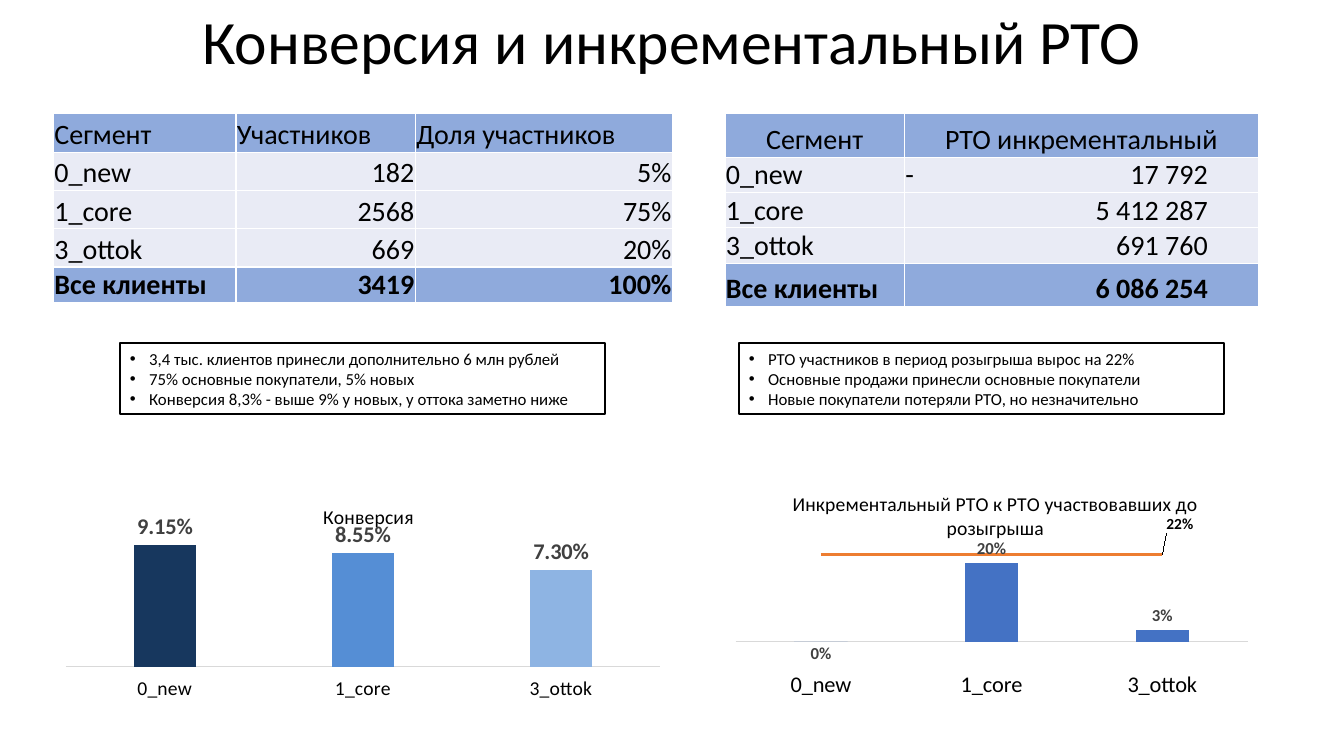
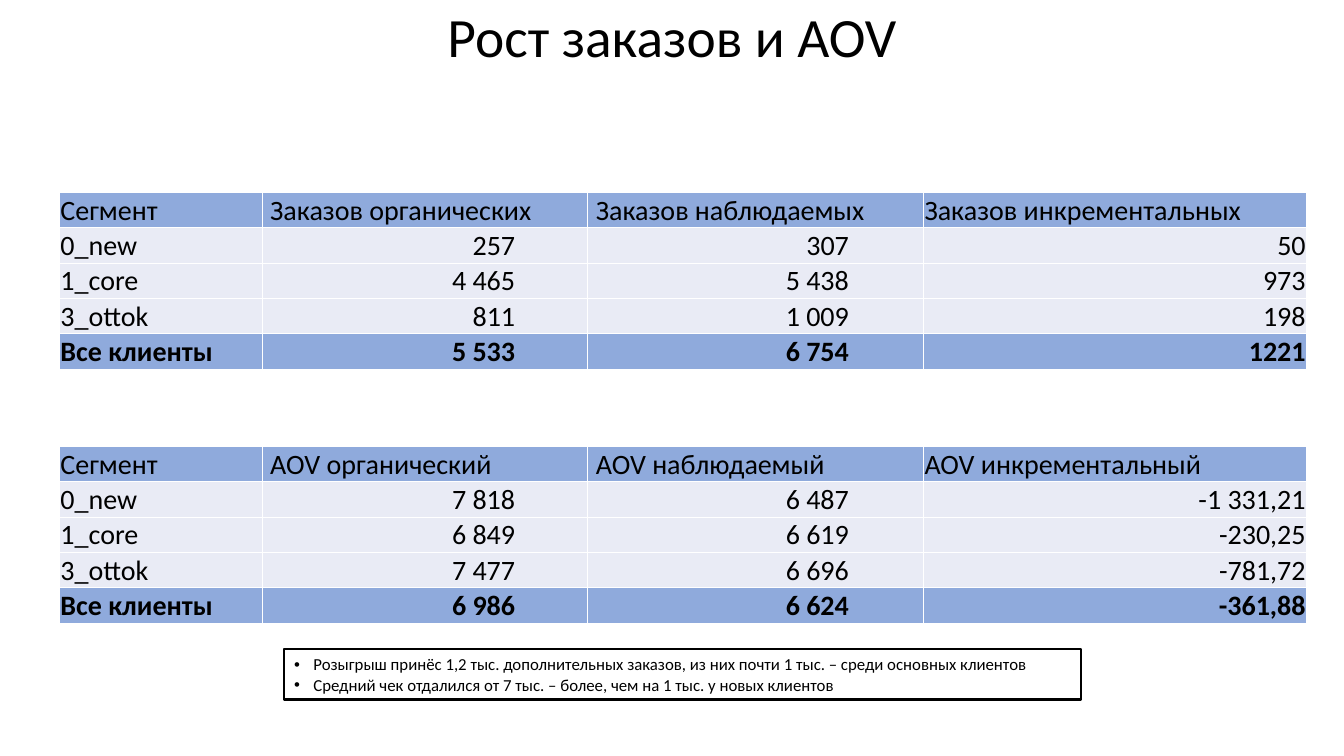
from dataclasses import dataclass

import pptx
import pptx.chart.data
import pptx.dml.color
import pptx.enum.chart
import pptx.enum.shapes
import pptx.enum.text
import pptx.oxml
import pptx.oxml.ns
import pptx.util
from pptx.util import Inches

RGBColor = pptx.dml.color.RGBColor
BLACK = RGBColor(0x00, 0x00, 0x00)
BAND = RGBColor(0x8F, 0xAA, 0xDC)
BODY = RGBColor(0xE9, 0xEB, 0xF5)
LABEL_GREY = RGBColor(0x40, 0x40, 0x40)
AXIS_GREY = RGBColor(0xD9, 0xD9, 0xD9)
NAVY = RGBColor(0x17, 0x37, 0x5E)
MID_BLUE = RGBColor(0x55, 0x8E, 0xD5)
LIGHT_BLUE = RGBColor(0x8E, 0xB4, 0xE3)
BAR_BLUE = RGBColor(0x44, 0x72, 0xC4)
ORANGE = RGBColor(0xED, 0x7D, 0x31)

FONT = "Calibri"
ALIGN = pptx.enum.text.PP_ALIGN
SEGMENTS = ["0_new", "1_core", "3_ottok"]
SEGMENT_ROWS = SEGMENTS + ["Все клиенты"]


@dataclass
class Column:
    heading: str
    width: float
    values: list
    align: int = ALIGN.RIGHT
    heading_align: int = ALIGN.LEFT
    heading_inset: float = 0.01
    right_inset: float = 0.01


def segment_column(width, heading_align=ALIGN.LEFT):
    return Column("Сегмент", width, SEGMENT_ROWS, ALIGN.LEFT, heading_align)


def set_font(font, size, color=BLACK, bold=False):
    font.name = FONT
    font.size = pptx.util.Pt(size)
    font.bold = bold
    font.color.rgb = color


def add_run(paragraph, text, size, bold=False):
    run = paragraph.add_run()
    run.text = text
    set_font(run.font, size, bold=bold)


def drawing_xml(xml):
    """Parse one element whose tag carries the a: prefix."""
    tag, rest = xml[1:].split(" ", 1)
    return pptx.oxml.parse_xml(f"<{tag} {pptx.oxml.ns.nsdecls('a')} {rest}")


def chart_xml(tag, content=""):
    return pptx.oxml.parse_xml(
        f"<c:{tag} {pptx.oxml.ns.nsdecls('c')}>{content}</c:{tag}>")


def add_titled_slide(deck, text, top, height, size):
    slide = deck.slides.add_slide(deck.slide_layouts[5])
    title = slide.shapes.title
    title.left, title.top = Inches(0), Inches(top)
    title.width, title.height = deck.slide_width, Inches(height)
    frame = title.text_frame
    frame.vertical_anchor = pptx.enum.text.MSO_ANCHOR.MIDDLE
    heading = frame.paragraphs[0]
    heading.alignment = ALIGN.CENTER
    heading.line_spacing = 0.9
    add_run(heading, text, size)
    return slide


def set_white_borders(cell):
    properties = cell._tc.get_or_add_tcPr()
    for position, side in enumerate("LRTB"):
        properties.insert(position, drawing_xml(
            f'<a:ln{side} w="12700"><a:solidFill><a:srgbClr val="FFFFFF"/>'
            f'</a:solidFill></a:ln{side}>'))


def fill_cell(cell, column, row, last_row):
    is_heading = row == 0
    text = column.heading if is_heading else column.values[row - 1]
    cell.vertical_anchor = pptx.enum.text.MSO_ANCHOR.BOTTOM
    cell.margin_left = Inches(column.heading_inset if is_heading else 0.01)
    cell.margin_right = Inches(0.01 if is_heading else column.right_inset)
    cell.margin_top, cell.margin_bottom = Inches(0.01), Inches(0)
    cell.fill.solid()
    cell.fill.fore_color.rgb = BAND if row in (0, last_row) else BODY
    set_white_borders(cell)
    paragraph = cell.text_frame.paragraphs[0]
    paragraph.alignment = column.heading_align if is_heading else column.align
    if "\t" in text:
        paragraph.alignment = ALIGN.LEFT
        stop = Inches(column.width - column.right_inset - 0.01)
        paragraph._p.get_or_add_pPr().append(drawing_xml(
            f'<a:tabLst ><a:tab pos="{stop}" algn="r"/></a:tabLst>'))
    add_run(paragraph, text, 20, bold=row == last_row)


def add_segment_table(slide, left, top, columns, row_heights):
    table = slide.shapes.add_table(
        len(row_heights), len(columns), Inches(left), Inches(top),
        Inches(sum(column.width for column in columns)),
        Inches(sum(row_heights))).table
    table.first_row = table.horz_banding = False
    for row, height in enumerate(row_heights):
        table.rows[row].height = Inches(height)
    for index, column in enumerate(columns):
        table.columns[index].width = Inches(column.width)
        for row in range(len(row_heights)):
            fill_cell(table.cell(row, index), column, row, len(row_heights) - 1)


def add_findings(slide, left, top, width, height, findings):
    """Outlined box with a bulleted list."""
    box = slide.shapes.add_shape(
        pptx.enum.shapes.MSO_SHAPE.RECTANGLE,
        Inches(left), Inches(top), Inches(width), Inches(height))
    box.shadow.inherit = False
    box.fill.background()
    box.line.color.rgb = BLACK
    box.line.width = pptx.util.Pt(1.5)
    frame = box.text_frame
    frame.word_wrap = True
    for index, finding in enumerate(findings):
        paragraph = frame.add_paragraph() if index else frame.paragraphs[0]
        paragraph.alignment = ALIGN.LEFT
        properties = paragraph._p.get_or_add_pPr()
        properties.set("marL", str(Inches(0.19)))
        properties.set("indent", str(-Inches(0.19)))
        properties.append(drawing_xml('<a:buFont typeface="Arial"/>'))
        properties.append(drawing_xml('<a:buChar char="•"/>'))
        add_run(paragraph, finding, 12)


def manual_layout(x, y, width=None, height=None):
    """Layout in fractions of the chart; a size makes it a plot area layout."""
    parts = [("xMode", "edge"), ("yMode", "edge"), ("x", x), ("y", y)]
    if width:
        parts = [("layoutTarget", "inner")] + parts + [("w", width), ("h", height)]
    content = "".join(f'<c:{tag} val="{value}"/>' for tag, value in parts)
    return chart_xml("layout", f"<c:manualLayout>{content}</c:manualLayout>")


def add_segment_chart(slide, frame, title, title_at, plot_area, series,
                      value_range, number_format, category_size, label_size):
    chart_data = pptx.chart.data.CategoryChartData()
    chart_data.categories = SEGMENTS
    for name, values in series:
        chart_data.add_series(name, values)
    chart = slide.shapes.add_chart(
        pptx.enum.chart.XL_CHART_TYPE.COLUMN_CLUSTERED,
        *map(Inches, frame), chart_data).chart
    set_font(chart.font, 10)
    chart.has_legend = False
    chart.has_title = True
    add_run(chart.chart_title.text_frame.paragraphs[0], title, 14)
    title_xml = chart._chartSpace.xpath("c:chart/c:title")[0]
    title_xml.replace(title_xml.xpath("c:layout")[0], manual_layout(*title_at))
    title_xml.xpath("c:overlay")[0].set("val", "1")
    plot_xml = chart._chartSpace.xpath("c:chart/c:plotArea")[0]
    for old_layout in plot_xml.xpath("c:layout"):
        plot_xml.remove(old_layout)
    plot_xml.insert(0, manual_layout(*plot_area))

    values = chart.value_axis
    values.minimum_scale, values.maximum_scale = value_range
    values.has_major_gridlines = False
    values.visible = False
    categories = chart.category_axis
    categories.major_tick_mark = pptx.enum.chart.XL_TICK_MARK.NONE
    categories.tick_label_position = pptx.enum.chart.XL_TICK_LABEL_POSITION.LOW
    set_font(categories.tick_labels.font, category_size)
    categories.format.line.color.rgb = AXIS_GREY
    categories.format.line.width = pptx.util.Pt(0.75)

    bars = chart.plots[0]
    bars.gap_width, bars.overlap = 219, -27
    bars.vary_by_categories = False
    labels = bars.series[0].data_labels
    labels.show_value = True
    labels.number_format = number_format
    labels.number_format_is_linked = False
    labels.position = pptx.enum.chart.XL_LABEL_POSITION.OUTSIDE_END
    set_font(labels.font, label_size, LABEL_GREY, bold=True)
    return chart


def paint(element, color):
    element.format.fill.solid()
    element.format.fill.fore_color.rgb = color


def turn_last_series_into_line(chart):
    bar_xml = chart._chartSpace.xpath(".//c:barChart")[0]
    line_series = bar_xml.xpath("c:ser")[-1]
    for bar_only in line_series.xpath("c:invertIfNegative"):
        line_series.remove(bar_only)
    line_xml = chart_xml("lineChart", '<c:grouping val="standard"/>'
                                      '<c:varyColors val="0"/>')
    line_xml.append(line_series)
    line_xml.append(pptx.oxml.parse_xml(
        f'<c:marker {pptx.oxml.ns.nsdecls("c")} val="1"/>'))
    for axis in bar_xml.xpath("c:axId"):
        line_xml.append(pptx.oxml.parse_xml(
            f'<c:axId {pptx.oxml.ns.nsdecls("c")} val="{axis.get("val")}"/>'))
    bar_xml.addnext(line_xml)
    return chart.plots[1].series[0]


def shift_point_label(series, index, size, color, dx, dy):
    """Give one point its own label, moved by fractions of the chart."""
    label = series.points[index].data_label
    set_font(label.font, size, color, bold=True)
    label_xml = series._element.xpath(f"c:dLbls/c:dLbl[c:idx/@val='{index}']")[0]
    label_xml.xpath("c:idx")[0].addnext(chart_xml(
        "layout", f'<c:manualLayout><c:x val="{dx}"/><c:y val="{dy}"/>'
                  '</c:manualLayout>'))


def add_conversion_chart(slide):
    chart = add_segment_chart(
        slide, (0.53, 4.8, 6.14, 2.2), "Конверсия", (0.43, 0.07),
        (0.02, 0.225, 0.96, 0.6), [("Конверсия", (0.0915, 0.0855, 0.073))],
        (0, 0.1), "0.00%", 14, 16)
    conversion = chart.plots[0].series[0]
    paint(conversion, LIGHT_BLUE)
    for index, color in enumerate((NAVY, MID_BLUE)):
        paint(conversion.points[index], color)


def add_increment_chart(slide):
    chart = add_segment_chart(
        slide, (7.19, 4.66, 5.29, 2.35),
        "Инкрементальный РТО к РТО участвовавших до розыгрыша", (0.12, 0.07),
        (0.02, 0.31, 0.96, 0.5),
        [("Сегменты", (0, 0.2, 0.03)), ("Все клиенты", (0.22,) * 3)],
        (-0.05, 0.25), "0%", 16, 12)
    by_segment = chart.plots[0].series[0]
    paint(by_segment, BAR_BLUE)
    shift_point_label(by_segment, 0, 12, LABEL_GREY, 0, 0.11)

    overall = turn_last_series_into_line(chart)
    overall.smooth = False
    overall.marker.style = pptx.enum.chart.XL_MARKER_STYLE.NONE
    overall.format.line.color.rgb = ORANGE
    overall.format.line.width = pptx.util.Pt(2.25)
    overall.data_labels.show_value = False
    overall.data_labels.number_format = "0%"
    overall.data_labels.number_format_is_linked = False
    shift_point_label(overall, 2, 11, BLACK, 0, -0.13)


def build_conversion_slide(deck):
    slide = add_titled_slide(deck, "Конверсия и инкрементальный РТО", 0, 0.89, 44)
    add_segment_table(slide, 0.53, 1.13, [
        segment_column(1.81),
        Column("Участников", 1.78, ["182", "2568", "669", "3419"]),
        Column("Доля участников", 2.55, ["5%", "75%", "20%", "100%"]),
    ], [0.38] * 4 + [0.34])
    add_conversion_chart(slide)
    add_segment_table(slide, 7.19, 1.13, [
        segment_column(1.78, ALIGN.CENTER),
        Column("РТО инкрементальный", 3.51,
               ["-\t17 792", "5 412 287", "691 760", "6 086 254"],
               heading_align=ALIGN.CENTER, right_inset=0.5),
    ], [0.43] + [0.35] * 3 + [0.43])
    add_increment_chart(slide)
    add_findings(slide, 1.19, 3.4, 4.81, 0.71, [
        "3,4 тыс. клиентов принесли дополнительно 6 млн рублей",
        "75% основные покупатели, 5% новых",
        "Конверсия 8,3% - выше 9% у новых, у оттока заметно ниже"])
    add_findings(slide, 7.33, 3.4, 4.81, 0.71, [
        "РТО участников в период розыгрыша вырос на 22%",
        "Основные продажи принесли основные покупатели",
        "Новые покупатели потеряли РТО, но незначительно"])


def build_orders_slide(deck):
    slide = add_titled_slide(deck, "Рост заказов и AOV", 0.03, 0.72, 39.6)
    orders = (("Заказов органических", ["257", "4 465", "811", "5 533"]),
              ("Заказов наблюдаемых", ["307", "5 438", "1 009", "6 754"]),
              ("Заказов инкрементальных", ["50", "973", "198", "1221"]))
    aov = (("AOV органический", ["7 818", "6 849", "7 477", "6 986"]),
           ("AOV наблюдаемый", ["6 487", "6 619", "6 696", "6 624"]),
           ("AOV инкрементальный", ["-1 331,21", "-230,25", "-781,72", "-361,88"]))
    for top, (organic, observed, increment) in ((1.91, orders), (4.43, aov)):
        add_segment_table(slide, 0.59, top, [
            segment_column(2.01),
            Column(organic[0], 3.23, organic[1], heading_inset=0.08, right_inset=0.72),
            Column(observed[0], 3.33, observed[1], heading_inset=0.08, right_inset=0.74),
            Column(increment[0], 3.8, increment[1]),
        ], [0.35] * 5)
    add_findings(slide, 2.82, 6.44, 7.9, 0.5, [
        "Розыгрыш принёс 1,2 тыс. дополнительных заказов, из них почти 1 тыс. "
        "– среди основных клиентов",
        "Средний чек отдалился от 7 тыс. – более, чем на 1 тыс. у новых клиентов"])


def main():
    deck = pptx.Presentation()
    deck.slide_width, deck.slide_height = Inches(13.33), Inches(7.5)
    build_conversion_slide(deck)
    build_orders_slide(deck)
    deck.save("out.pptx")


if __name__ == "__main__":
    main()
